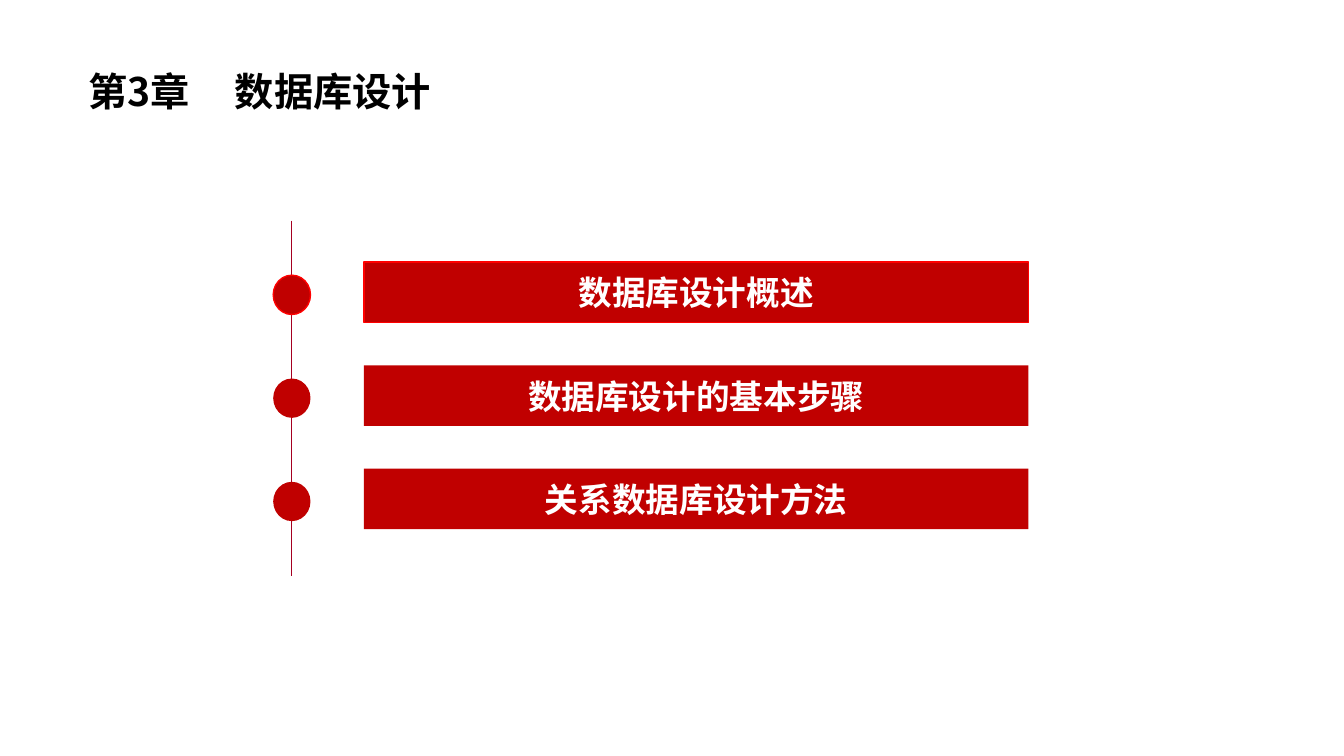
from lxml.etree import SubElement as Sub
from pptx import Presentation
from pptx.dml.color import RGBColor
from pptx.enum.shapes import MSO_CONNECTOR as Link, MSO_SHAPE as Kind
from pptx.enum.text import MSO_ANCHOR as Anchor, PP_ALIGN as Align
from pptx.oxml.ns import qn
from pptx.util import Inches, Pt

RED = RGBColor(0xC0, 0x00, 0x00)
EDGE = RGBColor(0xFF, 0x00, 0x00)
WINE = RGBColor(0xA5, 0x00, 0x21)
BLACK = RGBColor(0x00, 0x00, 0x00)
WHITE = RGBColor(0xFF, 0xFF, 0xFF)
FONT = "Noto Sans CJK SC"
TOPICS = ["数据库设计概述", "数据库设计的基本步骤", "关系数据库设计方法"]
STEP = 1.025


def add_box(slide, kind, left, top, width, height, fill=None, edge=None):
    box = slide.shapes.add_shape(
        kind, Inches(left), Inches(top), Inches(width), Inches(height))
    box.shadow.inherit = False
    if fill is None:
        box.fill.background()
    else:
        box.fill.solid()
        box.fill.fore_color.rgb = fill
    if edge is None:
        box.line.fill.background()
    else:
        box.line.color.rgb = edge
        box.line.width = Pt(1)
    return box


def set_text(box, text, size, color, align):
    frame = box.text_frame
    frame.word_wrap = True
    frame.vertical_anchor = Anchor.MIDDLE
    frame.text = text
    para = frame.paragraphs[0]
    para.alignment = align
    for run in para.runs:
        font = run.font
        font.name = FONT
        font.size = Pt(size)
        font.bold = True
        font.color.rgb = color
        Sub(font._element, qn("a:ea"), typeface=FONT)
    return para


def add_title(slide, left, top, width, height):
    box = add_box(slide, Kind.ROUNDED_RECTANGLE, left, top, width, height)
    para = set_text(box, "第3章\t数据库设计", 28, BLACK, Align.JUSTIFY)
    tabs = Sub(para._p.get_or_add_pPr(), qn("a:tabLst"))
    Sub(tabs, qn("a:tab"), pos=str(Inches(1.45)), algn="l")


def add_topic(slide, left, top, text, edge):
    bar = add_box(slide, Kind.RECTANGLE, left + 0.9, top, 6.59, 0.6, RED, edge)
    para = set_text(bar, text, 24, WHITE, Align.CENTER)
    para.space_before = Pt(10)
    add_box(slide, Kind.OVAL, left, top + 0.13, 0.37, 0.39, RED, edge)


def add_agenda(slide, left, top, height):
    axis = left + 0.18
    line = slide.shapes.add_connector(
        Link.STRAIGHT, Inches(axis), Inches(top),
        Inches(axis), Inches(top + height))
    line.line.color.rgb = WINE
    line.line.width = Pt(0.5)
    Sub(line._element.spPr, qn("a:effectLst"))
    for index, text in enumerate(TOPICS):
        edge = EDGE if index == 0 else None
        add_topic(slide, left, top + 0.41 + index * STEP, text, edge)


def main():
    deck = Presentation()
    deck.slide_width = Inches(13.33)
    deck.slide_height = Inches(7.5)
    slide = deck.slides.add_slide(deck.slide_layouts[6])
    add_agenda(slide, 2.71, 2.19, 3.52)
    add_title(slide, 0.74, 0.48, 7.9, 0.85)
    deck.save("out.pptx")


if __name__ == "__main__":
    main()
